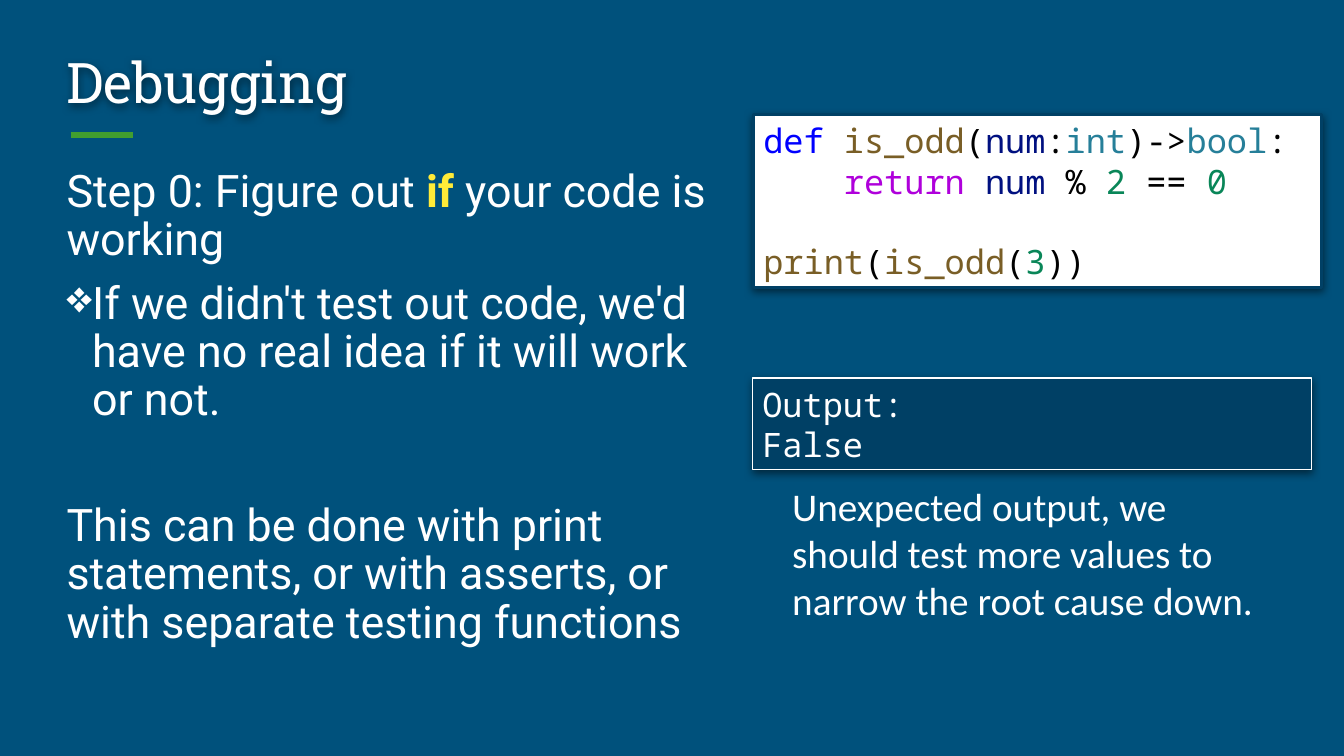
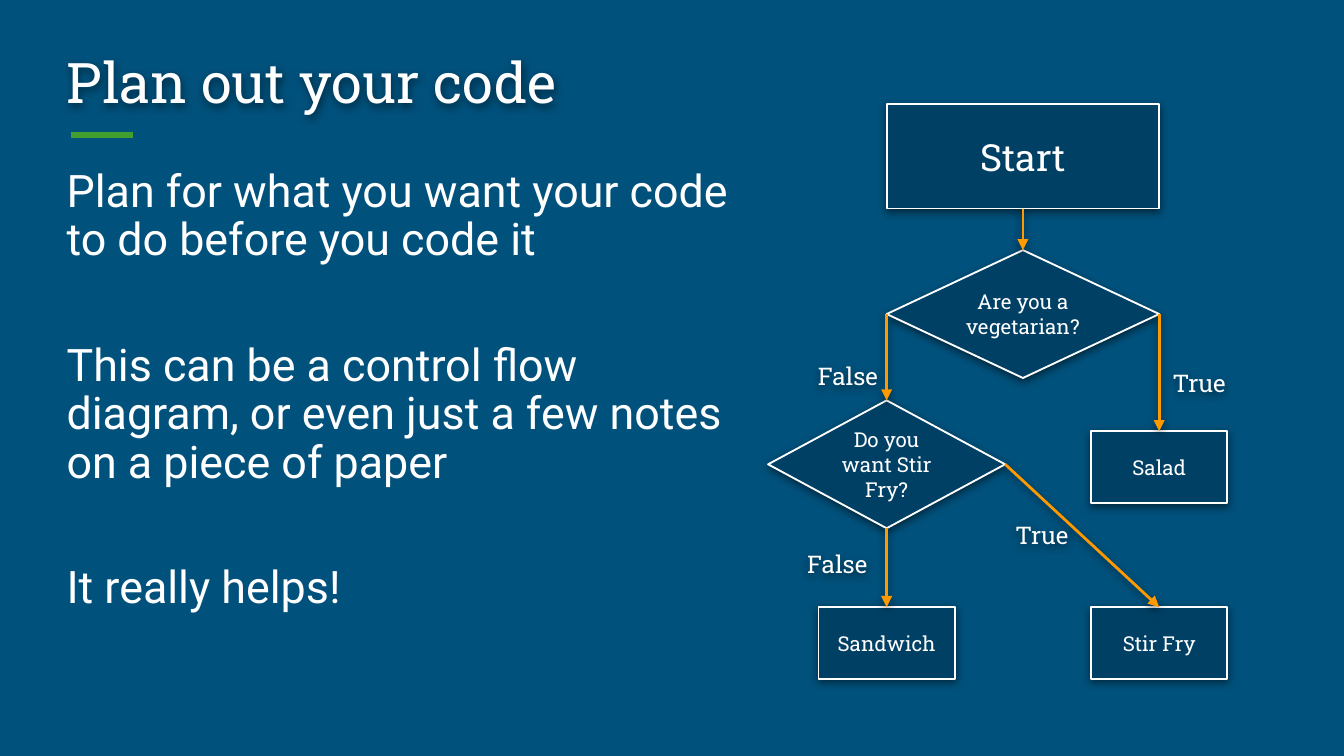
"""Build two slides on debugging and planning code."""
from pptx import Presentation
from pptx.dml.color import RGBColor
from pptx.enum.shapes import MSO_CONNECTOR, MSO_SHAPE
from pptx.enum.text import MSO_ANCHOR, MSO_AUTO_SIZE, PP_ALIGN
from pptx.oxml import parse_xml
from pptx.oxml.ns import nsdecls, qn
from pptx.util import Pt

RECT, CHOICE = MSO_SHAPE.RECTANGLE, MSO_SHAPE.FLOWCHART_DECISION
STRAIGHT = MSO_CONNECTOR.STRAIGHT
TOP, MIDDLE = MSO_ANCHOR.TOP, MSO_ANCHOR.MIDDLE
LEFT, CENTER = PP_ALIGN.LEFT, PP_ALIGN.CENTER
FIXED = MSO_AUTO_SIZE.NONE

BLUE, NAVY, WHITE, BLACK = "00517C", "004065", "FFFFFF", "000000"
GREEN, ORANGE, YELLOW = "419E2F", "FF9900", "FFEB38"
WORD, NAME, VAR = "0000FF", "795E26", "001080"
TYPE, FLOW, NUM = "267F99", "AF00DB", "098658"
SLAB, SANS, MONO, NOTE = "Roboto Slab", "Roboto", "Noto Sans Mono", "Calibri"

TITLE_BOX = (30.25, 18.75, 659, 54)
RULE = (38, 72.5, 71.25, 72.5)
BODY_TOP, BODY_HIGH = 87.75, 271.5
PAD_X, PAD_Y = 5.4, 2.7
GAP, BREAK, HANG = 8, 41.3, 13.7

# Each paragraph is its runs, then its spacing and indent options.
DEBUG = [
    (["Step 0: Figure out ", ("if ", YELLOW, True), "your code is working"], {}),
    (["If we didn't test out code, we'd have no real idea if it will work or not."],
     {"before": GAP, "left": HANG, "bullet": "❖"}),
    (["This can be done with print statements, or with asserts, "
      "or with separate testing functions"], {"before": BREAK}),
]
PLAN = [
    (["Plan for what you want your code to do before you code it"], {}),
    (["This can be a control flow diagram, or even just a few notes "
      "on a piece of paper"], {"before": BREAK}),
    (["It really helps!"], {"before": BREAK}),
]
CODE = [
    ([("def ", WORD), ("is_odd", NAME), "(", ("num", VAR), ":", ("int", TYPE),
      ")->", ("bool", TYPE), ":"], {}),
    ([("return ", FLOW), ("num", VAR), " % ", ("2", NUM), " == ", ("0", NUM)],
     {"left": 43.2}),
    ([("print", NAME), "(", ("is_odd", NAME), "(", ("3", NUM), "))"],
     {"before": 21.6}),
]
OUTPUT = [(["Output:"], {}), (["False"], {})]
ADVICE = "Unexpected output, we should test more values to narrow the root cause down."

COL_A, COL_B, COL_C = 475, 548, 621
BIG, SMALL = (146, 68.5), (73, 38.5)
# Each node is its text, shape, centre x, top, size and text size.
NODES = {
    "start": ("Start", RECT, COL_B, 55.75, (146, 56), 20),
    "veg": ("Are you a vegetarian?", CHOICE, COL_B, 134, BIG, 11),
    "fry": ("Do you want Stir Fry?", CHOICE, COL_A, 214.5, (127, 68.5), 11),
    "salad": ("Salad", RECT, COL_C, 231, SMALL, 11),
    "bread": ("Sandwich", RECT, COL_A, 325.25, SMALL, 11),
    "wok": ("Stir Fry", RECT, COL_C, 325.25, SMALL, 11),
}
NORTH, WEST, SOUTH, EAST = range(4)
LINKS = [
    ("start", SOUTH, "veg"),
    ("veg", WEST, "fry"),
    ("veg", EAST, "salad"),
    ("fry", EAST, "wok"),
    ("fry", SOUTH, "bread"),
]
LABELS = [
    ("False", 427, 291.5),
    ("False", 432.75, 190.75),
    ("True", 622.75, 194.5),
    ("True", 538.5, 275.75),
]


def rgb(code):
    """Turn a hex string into a colour."""
    return RGBColor.from_string(code)


def points(values):
    """Turn numbers into point lengths."""
    return [Pt(value) for value in values]


def shade(shape, soft=True):
    """Give a shape a soft shadow, or none."""
    glow = (
        '<a:outerShdw blurRad="57150" dist="19050" dir="5400000" algn="bl" '
        'rotWithShape="0"><a:srgbClr val="000000"><a:alpha val="50000"/>'
        "</a:srgbClr></a:outerShdw>"
    ) if soft else ""
    props = shape._element.spPr
    for old in props.findall(qn("a:effectLst")):
        props.remove(old)
    props.append(parse_xml(f"<a:effectLst {nsdecls('a')}>{glow}</a:effectLst>"))


def mark(para, sign):
    """Put a hanging bullet on a paragraph."""
    props = para._p.get_or_add_pPr()
    props.set("indent", str(-Pt(HANG)))
    props.append(parse_xml(
        f'<a:buClr {nsdecls("a")}><a:srgbClr val="{WHITE}"/></a:buClr>'))
    props.append(parse_xml(f'<a:buChar {nsdecls("a")} char="{sign}"/>'))


def write(shape, paras, size, face, color=WHITE, align=LEFT, anchor=MIDDLE, pitch=1.0):
    """Write paragraphs of runs into a shape."""
    frame = shape.text_frame
    frame.auto_size = FIXED
    frame.word_wrap = True
    frame.vertical_anchor = anchor
    frame.margin_left = frame.margin_right = Pt(PAD_X)
    frame.margin_top = frame.margin_bottom = Pt(PAD_Y)
    for index, (runs, style) in enumerate(paras):
        para = frame.add_paragraph() if index else frame.paragraphs[0]
        if "left" in style:
            para._p.get_or_add_pPr().set("marL", str(Pt(style["left"])))
        if "bullet" in style:
            mark(para, style["bullet"])
        para.alignment = align
        para.line_spacing = pitch
        para.space_before = Pt(style.get("before", 0))
        para.font.size = Pt(size)
        para.font.name = face
        para.font.color.rgb = rgb(color)
        for item in runs:
            text, tint, bold = (item, None, None) if isinstance(item, str) else (
                *item, None)[:3]
            run = para.add_run()
            run.text = text
            if tint:
                run.font.color.rgb = rgb(tint)
            if bold:
                run.font.bold = True


def text_box(slide, box, paras, size, face, **style):
    """Add a plain text box."""
    shape = slide.shapes.add_textbox(*points(box))
    write(shape, paras, size, face, anchor=TOP, **style)
    return shape


def panel(slide, kind, box, fill, edge, width):
    """Add a filled, outlined shape with a shadow."""
    shape = slide.shapes.add_shape(kind, *points(box))
    shape.fill.solid()
    shape.fill.fore_color.rgb = rgb(fill)
    shape.line.color.rgb = rgb(edge)
    shape.line.width = Pt(width)
    shade(shape)
    return shape


def stroke(slide, ends, color, width):
    """Add a straight line."""
    line = slide.shapes.add_connector(STRAIGHT, *points(ends))
    line.line.color.rgb = rgb(color)
    line.line.width = Pt(width)
    return line


def new_slide(deck, title, body, wide):
    """Add a slide with its title, rule and body text."""
    slide = deck.slides.add_slide(deck.slide_layouts[5])
    shade(stroke(slide, RULE, GREEN, 3), False)
    head = slide.shapes.title
    head.left, head.top, head.width, head.height = points(TITLE_BOX)
    write(head, [([title], {})], 30, SLAB, pitch=0.9)
    shade(head)
    box = (TITLE_BOX[0], BODY_TOP, wide, BODY_HIGH)
    text_box(slide, box, body, 24, SANS, pitch=0.9)
    return slide


def debug_slide(deck):
    """Add the slide with code and its output."""
    slide = new_slide(deck, "Debugging", DEBUG, 364.25)
    code = panel(slide, RECT, (403.5, 61.25, 304.5, 92.75), WHITE, NAVY, 1.5)
    write(code, CODE, 18, MONO, BLACK)
    output = panel(slide, RECT, (403, 202.5, 299.5, 49), NAVY, WHITE, 0.75)
    write(output, OUTPUT, 18, MONO)
    text_box(slide, (419, 255.5, 268, 82), [([ADVICE], {})], 21, NOTE)


def plan_slide(deck):
    """Add the slide with the flow chart."""
    slide = new_slide(deck, "Plan out your code", PLAN, 378.75)
    nodes = {}
    for key, (text, kind, mid, top, (wide, high), size) in NODES.items():
        node = panel(slide, kind, (mid - wide / 2, top, wide, high), NAVY, WHITE, 1)
        write(node, [([text], {})], size, SLAB, align=CENTER)
        nodes[key] = node
    for start, side, end in LINKS:
        arrow = stroke(slide, (0, 0, 0, 0), ORANGE, 1.5)
        arrow.begin_connect(nodes[start], side)
        arrow.end_connect(nodes[end], NORTH)
        arrow._element.spPr.find(qn("a:ln")).append(
            parse_xml(f'<a:tailEnd {nsdecls("a")} type="triangle"/>'))
        shade(arrow)
    for text, left, top in LABELS:
        shade(text_box(slide, (left, top, 46, 21), [([text], {})], 13, SLAB))


def main():
    """Build and save the deck."""
    deck = Presentation()
    deck.slide_width, deck.slide_height = points((720, 405))
    back = deck.slide_master.background.fill
    back.solid()
    back.fore_color.rgb = rgb(BLUE)
    debug_slide(deck)
    plan_slide(deck)
    deck.save("out.pptx")


if __name__ == "__main__":
    main()
